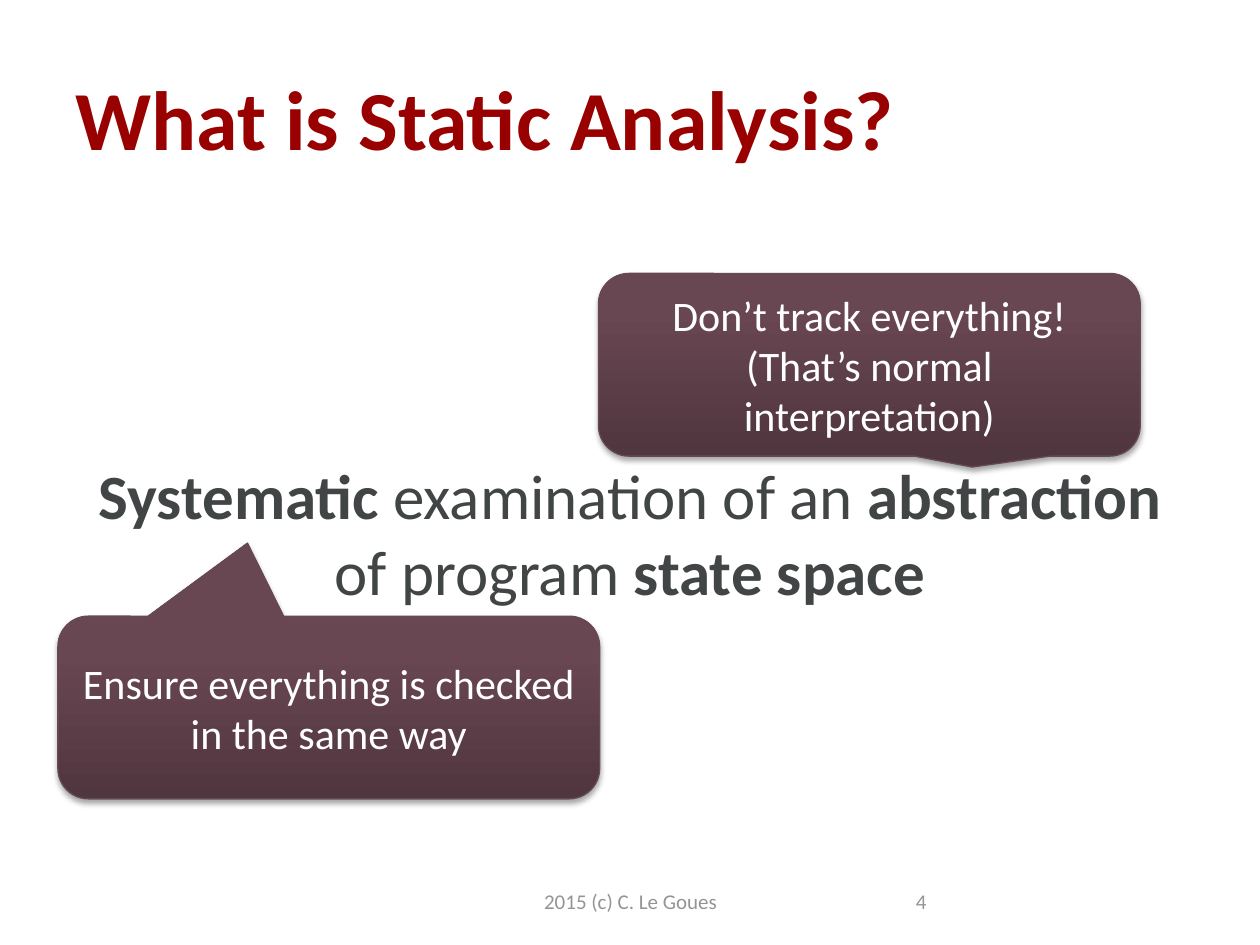
from copy import deepcopy
from typing import NamedTuple

from pptx import Presentation
from pptx.dml.color import RGBColor
from pptx.enum import shapes, text
from pptx.oxml import parse_xml
from pptx.util import Inches, Pt

RED = RGBColor(0x99, 0x00, 0x00)
INK = RGBColor(0x42, 0x45, 0x45)
GRAY = RGBColor(0x93, 0x94, 0x94)
WHITE = RGBColor(0xFF, 0xFF, 0xFF)
EDGE = RGBColor(0x65, 0x4A, 0x54)
DARK = RGBColor(0x50, 0x36, 0x3F)
PLUM = RGBColor(0x68, 0x46, 0x52)
LIGHT = RGBColor(0x69, 0x45, 0x53)
STOPS = [(0, DARK), (0.8, PLUM), (1, LIGHT)]

LEFT, CENTER = text.PP_ALIGN.LEFT, text.PP_ALIGN.CENTER
SHADOW = (
    '<a:outerShdw xmlns:a="http://schemas.openxmlformats.org/drawingml/2006/main" '
    'blurRad="40000" dist="23000" dir="5400000" rotWithShape="0">'
    '<a:srgbClr val="000000"><a:alpha val="35000"/></a:srgbClr></a:outerShdw>'
)


class Box(NamedTuple):
    left: float
    top: float
    width: float
    height: float

    def place(self) -> list:
        return [Inches(side) for side in self]


class Note(NamedTuple):
    words: str
    left: float
    top: float
    tip: tuple[float, float]


class Label(NamedTuple):
    words: str
    box: Box
    align: int


NOTES = [
    Note("Don’t track everything! (That’s normal interpretation)",
         4.75, 2.17, (0.19, 0.56)),
    Note("Ensure everything is checked in the same way",
         0.46, 4.89, (-0.15, -0.9)),
]
LABELS = [
    Label("4", Box(7.17, 6.95, 2.33, 0.4), LEFT),
    Label("2015 (c) C. Le Goues", Box(3.42, 6.95, 3.17, 0.4), CENTER),
]
CLAIM = [  # words, bold
    ("Systematic", True),
    (" examination of an ", False),
    ("abstraction", True),
    (" of program ", False),
    ("state space", True),
]


def style(shape, size: int, color: RGBColor, align: int):
    """Format the shape's single paragraph and return it."""
    frame = shape.text_frame
    frame.word_wrap = True
    frame.vertical_anchor = text.MSO_ANCHOR.MIDDLE
    para = frame.paragraphs[0]
    para.alignment = align
    para.font.name = "Calibri"
    para.font.size = Pt(size)
    para.font.color.rgb = color
    return para


def add_title(slide, words: str) -> None:
    title = slide.shapes.title
    title.left, title.top, title.width, title.height = Box(0.5, 0.3, 9, 1.25).place()
    title.text = words
    style(title, 48, RED, LEFT).font.bold = True


def add_claim(slide) -> None:
    box = slide.shapes.add_textbox(*Box(0.5, 1.75, 9, 4.95).place())
    para = style(box, 36, INK, CENTER)
    para.space_before = Pt(7.2)
    for words, bold in CLAIM:
        run = para.add_run()
        run.text = words
        run.font.bold = bold


def shade(shape) -> None:
    """Fill with the three-stop gradient, darkest at the bottom."""
    shape.fill.gradient()
    shape.fill.gradient_angle = 90
    last = shape.element.spPr.xpath("./a:gradFill/a:gsLst/a:gs")[-1]
    last.addnext(deepcopy(last))
    for stop, (place, color) in zip(shape.fill.gradient_stops, STOPS):
        stop.position = place
        stop.color.rgb = color


def add_note(slide, note: Note) -> None:
    shape = slide.shapes.add_shape(
        shapes.MSO_SHAPE.ROUNDED_RECTANGULAR_CALLOUT,
        *Box(note.left, note.top, 4.3, 1.45).place())
    shape.adjustments[0], shape.adjustments[1] = note.tip
    shade(shape)
    shape.line.color.rgb = EDGE
    shape.line.width = Pt(0.75)
    shape.shadow.inherit = False
    shape.element.spPr.xpath("./a:effectLst")[0].append(parse_xml(SHADOW))
    shape.text_frame.text = note.words
    style(shape, 24, WHITE, CENTER)


def add_label(slide, label: Label) -> None:
    box = slide.shapes.add_textbox(*label.box.place())
    box.text_frame.text = label.words
    style(box, 12, GRAY, label.align)


def main() -> None:
    deck = Presentation()
    deck.slide_width, deck.slide_height = Inches(10), Inches(7.5)
    slide = deck.slides.add_slide(deck.slide_layouts.get_by_name("Title Only"))
    add_title(slide, "What is Static Analysis?")
    add_claim(slide)
    for note in NOTES:
        add_note(slide, note)
    for label in LABELS:
        add_label(slide, label)
    deck.save("out.pptx")


if __name__ == "__main__":
    main()
